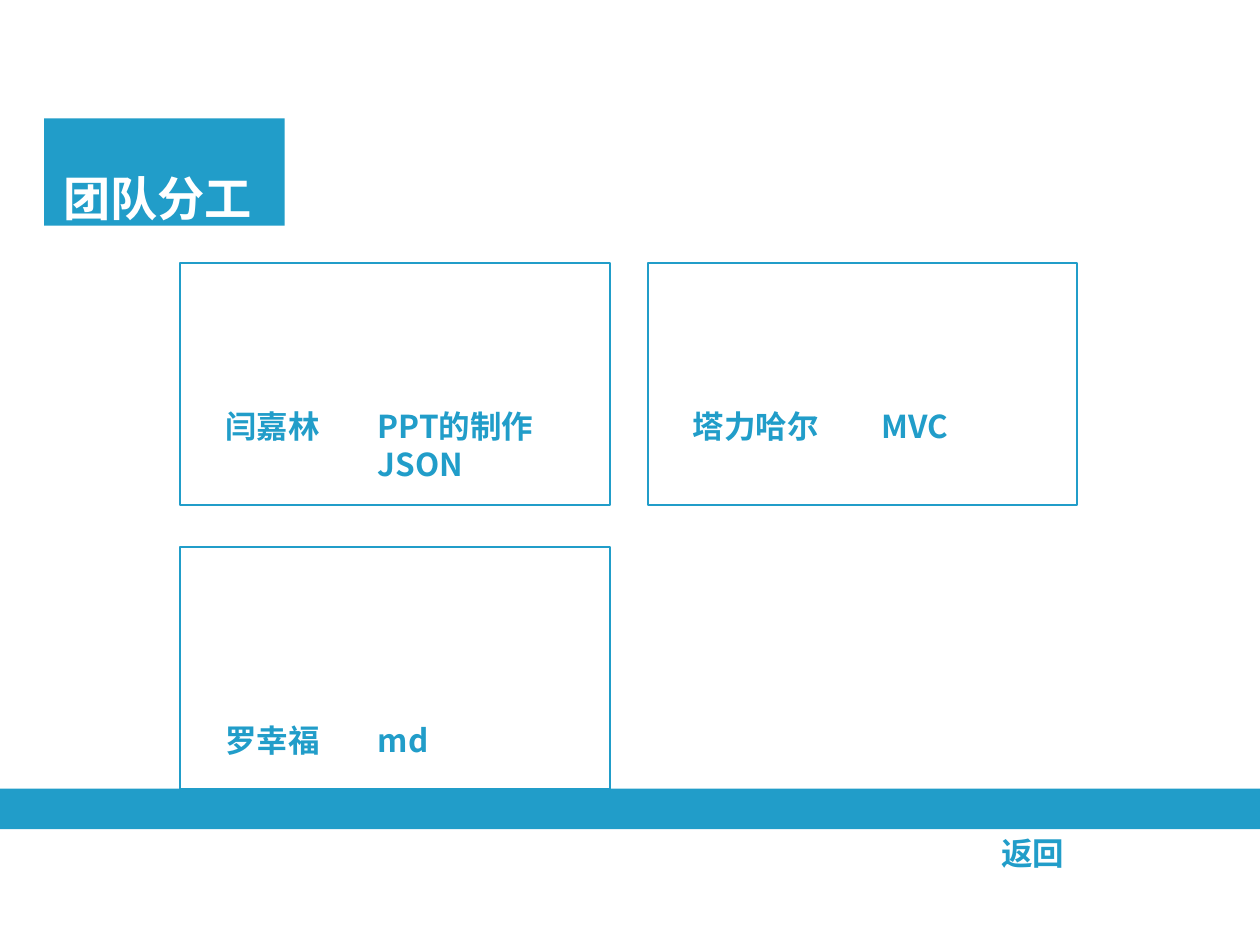
from dataclasses import dataclass

from lxml.etree import SubElement
from pptx import Presentation
from pptx.dml.color import RGBColor
from pptx.enum.shapes import MSO_SHAPE
from pptx.enum.text import MSO_ANCHOR, MSO_AUTO_SIZE, PP_ALIGN
from pptx.oxml.ns import qn
from pptx.util import Inches, Pt


@dataclass(frozen=True)
class Theme:
    blue: RGBColor = RGBColor(0x21, 0x9D, 0xC9)
    white: RGBColor = RGBColor(0xFF, 0xFF, 0xFF)
    font: str = "Noto Sans CJK SC"
    title_size: int = 27
    body_size: int = 18


# Content: name, name width, task, task offset in card, task width and height
TITLE = "团队分工"
BACK = "返回"
MEMBERS = [
    ("闫嘉林", 0.95, "PPT的制作JSON", 1.47, 1.54, 0.7),
    ("塔力哈尔", 1.2, "MVC", 1.76, 1.23, 0.4),
    ("罗幸福", 0.95, "md", 1.47, 1.17, 0.4),
]

# Card grid, in inches
THEME = Theme()
COLUMNS = 2
GRID_LEFT, GRID_TOP = 1.43, 2.09
CARD_WIDTH, CARD_HEIGHT = 3.41, 1.92
COLUMN_STEP, ROW_STEP = 3.71, 2.25
NAME_OFFSET = 0.26
TEXT_OFFSETS = (1.09, 1.33)  # one for each row

prs = Presentation()
prs.slide_width, prs.slide_height = Inches(10), Inches(7.5)
slide = prs.slides.add_slide(prs.slide_layouts[5])
shapes = slide.shapes


def add_block(left, top, width, height, fill, line=None):
    block = shapes.add_shape(MSO_SHAPE.RECTANGLE, *map(Inches, (left, top, width, height)))
    block.shadow.inherit = False
    block.fill.solid()
    block.fill.fore_color.rgb = fill
    if line is None:
        block.line.fill.background()
    else:
        block.line.color.rgb = line
        block.line.width = Pt(1)


def write(frame, text, size, color, wrap=False):
    frame.word_wrap = wrap
    frame.auto_size = MSO_AUTO_SIZE.SHAPE_TO_FIT_TEXT
    frame.vertical_anchor = MSO_ANCHOR.TOP
    paragraph = frame.paragraphs[0]
    paragraph.alignment = PP_ALIGN.LEFT
    run = paragraph.add_run()
    run.text = text
    run.font.size, run.font.bold, run.font.name = Pt(size), True, THEME.font
    run.font.color.rgb = color
    SubElement(run.font._element, qn("a:ea"), typeface=THEME.font)


def add_label(text, left, top, width, height=0.4, wrap=False):
    label = shapes.add_textbox(*map(Inches, (left, top, width, height)))
    write(label.text_frame, text, THEME.body_size, THEME.blue, wrap)


# Footer band and title block
add_block(0, 6.26, 10, 0.32, THEME.blue)
add_block(0.35, 0.94, 1.91, 0.85, THEME.blue)

# Title, brought in front of its block and wide enough for one line
title = shapes.title
title.left, title.top, title.width, title.height = map(Inches, (0.4, 1.29, 1.86, 0.55))
write(title.text_frame, TITLE, THEME.title_size, THEME.white, wrap=True)
shapes._spTree.append(title._element)

# Member cards
for index, (name, name_width, task, task_offset, task_width, task_height) in enumerate(MEMBERS):
    row, column = divmod(index, COLUMNS)
    left = GRID_LEFT + column * COLUMN_STEP
    top = GRID_TOP + row * ROW_STEP
    text_top = top + TEXT_OFFSETS[row]
    add_block(left, top, CARD_WIDTH, CARD_HEIGHT, THEME.white, THEME.blue)
    add_label(name, left + NAME_OFFSET, text_top, name_width)
    add_label(task, left + task_offset, text_top, task_width, task_height, wrap=True)

# Back label
add_label(BACK, 7.85, 6.57, 0.7)

prs.save("out.pptx")
